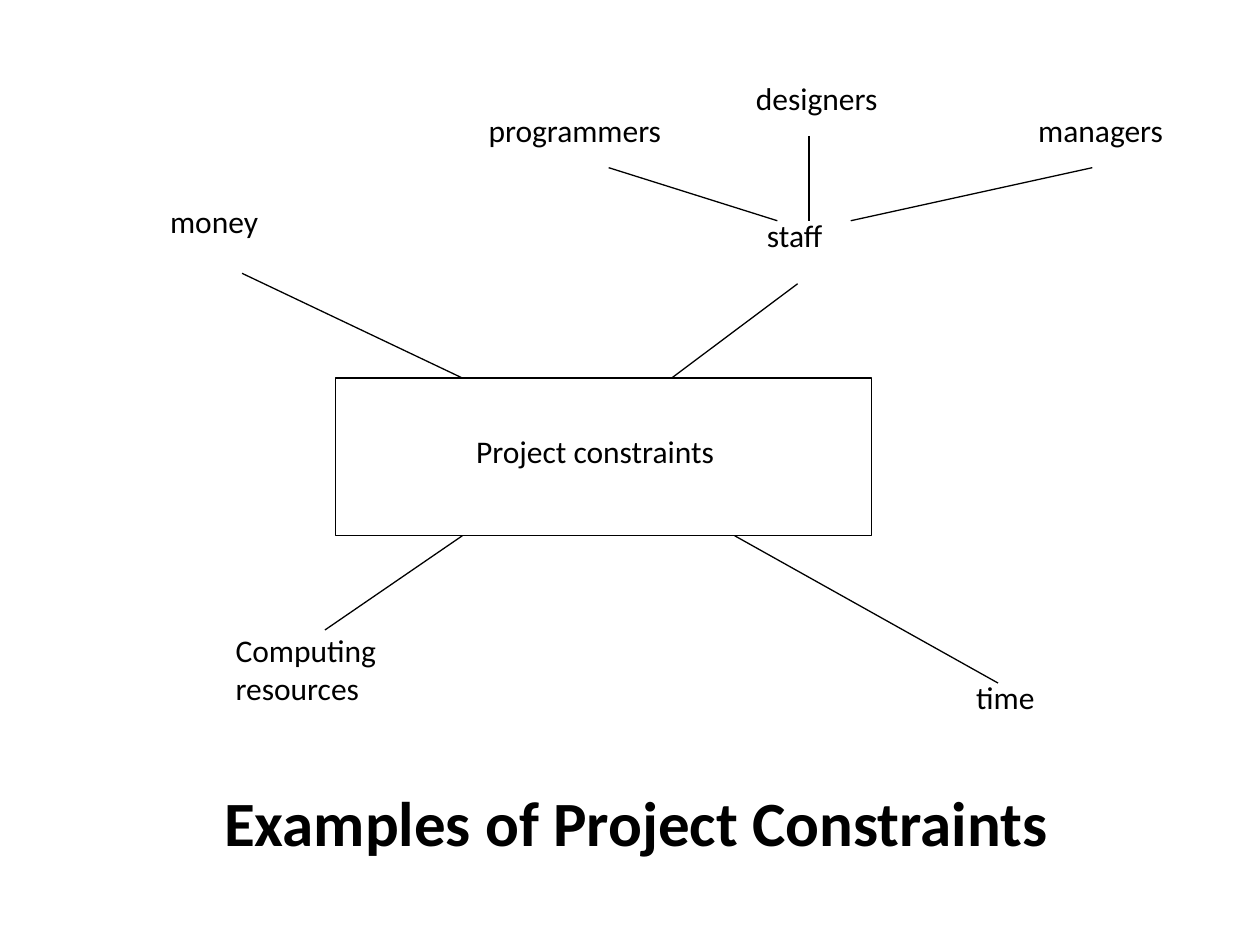
from dataclasses import dataclass

from lxml.etree import SubElement
from pptx import Presentation
from pptx.dml.color import RGBColor
from pptx.enum.shapes import MSO_CONNECTOR, MSO_SHAPE
from pptx.enum.text import MSO_AUTO_SIZE as AutoSize
from pptx.oxml.ns import qn
from pptx.util import Cm, Pt


@dataclass(frozen=True)
class Theme:
    ink: RGBColor = RGBColor(0, 0, 0)
    font: str = "Calibri"
    label_size: int = 18
    title_size: int = 36
    line_width: float = 0.75


THEME = Theme()

# All lengths are in centimetres.
SLIDE_SIZE = (25.4, 19.05)
BOX_LEFT, BOX_TOP, BOX_WIDTH, BOX_HEIGHT = 6.77, 7.62, 10.8, 3.18
BOX_BOTTOM = BOX_TOP + BOX_HEIGHT
STAFF_TOP = 4.45
LABEL_HEIGHT, TALL_HEIGHT = 1.02, 1.78

# Lines of text, left, top, width
LABELS = [
    (["Project constraints"], 9.35, 8.59, 5.33),
    (["money"], 3.18, 3.94, 2.29),
    (["time"], 19.43, 13.54, 1.68),
    (["Computing", "resources"], 4.5, 12.6, 3.48),
    (["staff"], 15.21, 4.24, 1.63),
    (["programmers"], 9.6, 2.11, 4.01),
    (["managers"], 20.68, 2.11, 3.05),
    (["designers"], 14.99, 1.47, 2.97),
]
TITLE = (["Examples of Project Constraints"], 4.27, 15.67, 17.2)

# Start and end of each branch
BRANCHES = [
    ((4.88, 5.51), (9.32, BOX_TOP)),             # money
    ((9.32, BOX_BOTTOM), (6.55, 12.7)),          # computing resources
    ((14.81, BOX_BOTTOM), (20.12, 13.77)),       # time
    ((16.08, 5.72), (13.54, BOX_TOP)),           # staff
    ((12.27, 3.38), (15.67, STAFF_TOP)),         # programmers
    ((16.31, 2.74), (16.31, STAFF_TOP)),         # designers
    ((22.02, 3.38), (17.15, STAFF_TOP)),         # managers
]


def style_line(line):
    line.color.rgb = THEME.ink
    line.width = Pt(THEME.line_width)


def add_label(slide, rows, left, top, width, size=THEME.label_size, bold=False):
    height = LABEL_HEIGHT if len(rows) == 1 and not bold else TALL_HEIGHT
    label = slide.shapes.add_textbox(*map(Cm, (left, top, width, height)))
    frame = label.text_frame
    frame.word_wrap = False
    frame.auto_size = AutoSize.SHAPE_TO_FIT_TEXT
    for index, row in enumerate(rows):
        paragraph = frame.add_paragraph() if index else frame.paragraphs[0]
        run = paragraph.add_run()
        run.text = row
        run.font.name = THEME.font
        run.font.size = Pt(size)
        run.font.bold = bold
        run.font.color.rgb = THEME.ink


def add_branch(slide, start, end):
    branch = slide.shapes.add_connector(
        MSO_CONNECTOR.STRAIGHT, *map(Cm, start + end))
    style_line(branch.line)
    SubElement(branch._element.spPr, qn("a:effectLst"))


def main():
    deck = Presentation()
    deck.slide_width, deck.slide_height = map(Cm, SLIDE_SIZE)
    slide = deck.slides.add_slide(deck.slide_layouts[6])

    constraints_box = slide.shapes.add_shape(
        MSO_SHAPE.RECTANGLE,
        *map(Cm, (BOX_LEFT, BOX_TOP, BOX_WIDTH, BOX_HEIGHT)))
    constraints_box.shadow.inherit = False
    constraints_box.fill.background()
    style_line(constraints_box.line)

    for label in LABELS:
        add_label(slide, *label)
    for start, end in BRANCHES:
        add_branch(slide, start, end)
    add_label(slide, *TITLE, size=THEME.title_size, bold=True)

    deck.save("out.pptx")


if __name__ == "__main__":
    main()
